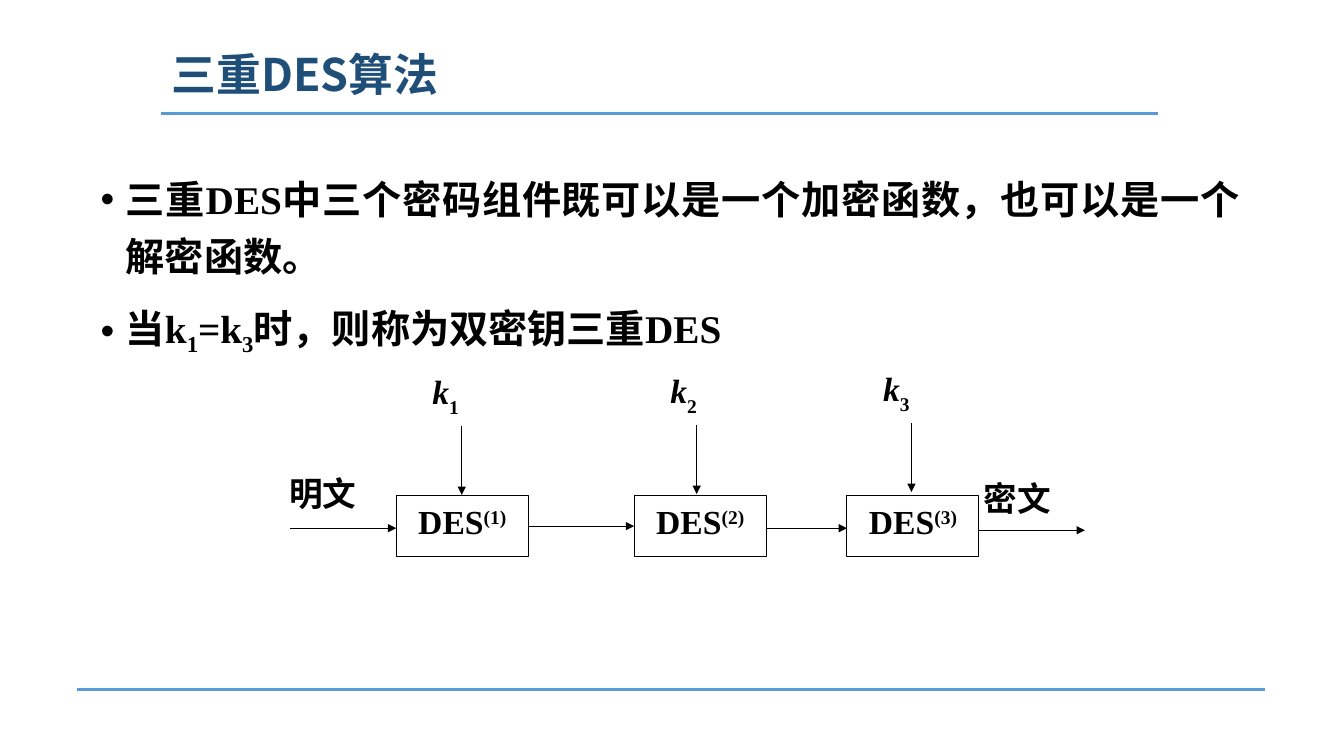
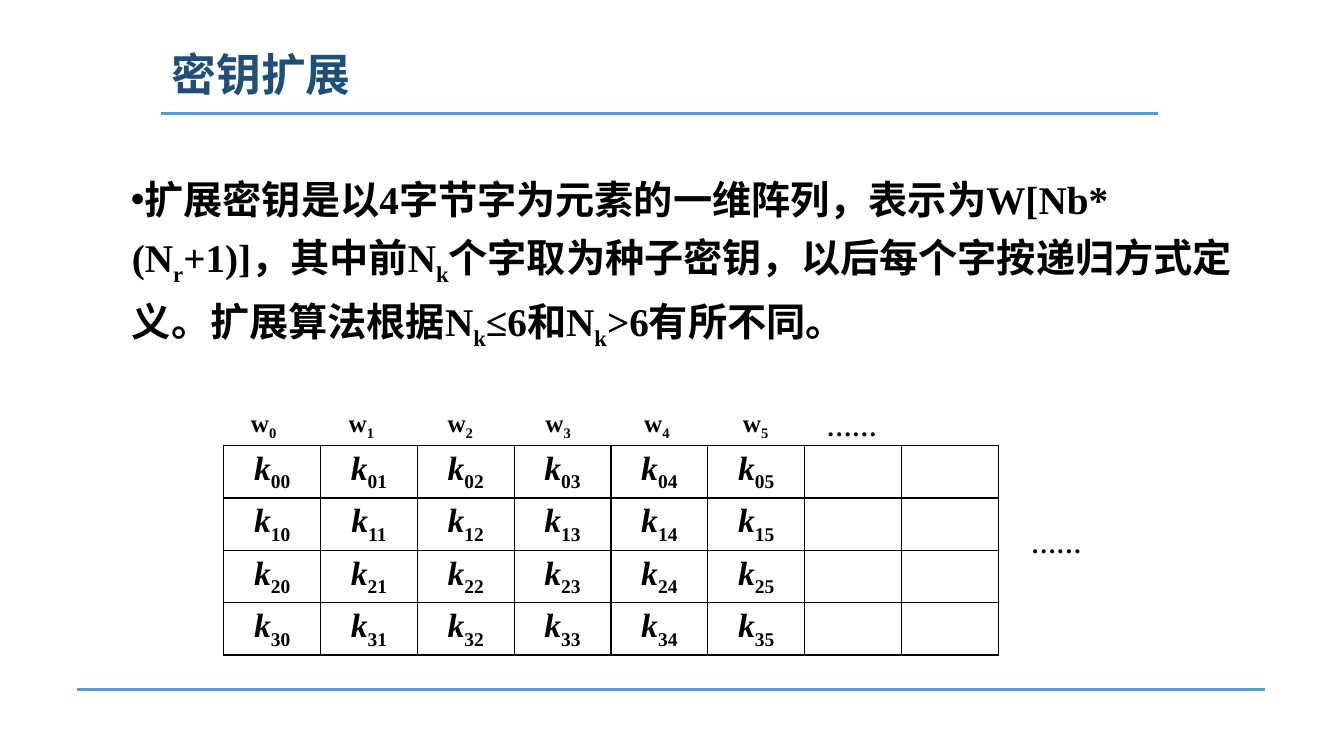
from dataclasses import dataclass

from lxml.etree import SubElement
from pptx import Presentation
from pptx.dml.color import RGBColor
from pptx.enum.shapes import MSO_CONNECTOR as Connector, MSO_SHAPE as Shape
from pptx.enum.text import MSO_ANCHOR as Anchor, PP_ALIGN as Align
from pptx.oxml.ns import qn
from pptx.util import Emu, Pt

EMU_PER_PX = 9144  # 100 px to the inch
TITLE_ONLY = 5


@dataclass(frozen=True)
class Theme:
    ink: RGBColor = RGBColor(0x00, 0x00, 0x00)
    paper: RGBColor = RGBColor(0xFF, 0xFF, 0xFF)
    title: RGBColor = RGBColor(0x1F, 0x4E, 0x79)
    rule: RGBColor = RGBColor(0x5B, 0x9B, 0xD5)
    latin: str = "Times New Roman"
    cjk: str = "Noto Sans CJK SC"
    title_size: int = 32
    body_size: int = 28
    diagram_size: int = 24
    label_size: int = 18
    rule_width: float = 2.25
    arrow_width: float = 0.75
    border_width: int = 1


THEME = Theme()


def px(length):
    return Emu(length * EMU_PER_PX)


def box(*lengths):
    return [px(length) for length in lengths]


def set_font(paragraph, size, color=THEME.ink, latin=THEME.latin, east_asian=THEME.cjk):
    font = paragraph.font
    font.size, font.bold, font.name = Pt(size), True, latin
    font.color.rgb = color
    properties = paragraph._p.pPr.find(qn("a:defRPr"))
    SubElement(properties, qn("a:ea"), typeface=east_asian)


def add_runs(paragraph, text, shift=-25, italic=False):
    """Split text at "|"; every second part is shifted by a percentage, the others may be italic."""
    for index, part in enumerate(text.split("|")):
        run = paragraph.add_run()
        run.text = part
        if index % 2:
            run._r.get_or_add_rPr().set("baseline", str(shift * 1000))
        elif italic:
            run.font.italic = True


def add_line(slide, start, end, color, width, arrow=False):
    line = slide.shapes.add_connector(Connector.STRAIGHT, *box(*start, *end))
    line.line.color.rgb = color
    line.line.width = Pt(width)
    if arrow:
        SubElement(line.line._get_or_add_ln(), qn("a:tailEnd"), type="triangle")
    SubElement(line._element.spPr, qn("a:effectLst"))


def add_arrow(slide, start, end):
    add_line(slide, start, end, THEME.ink, THEME.arrow_width, arrow=True)


def add_label(slide, area, text):
    frame = slide.shapes.add_textbox(*box(*area)).text_frame
    frame.word_wrap = True
    paragraph = frame.paragraphs[0]
    add_runs(paragraph, text)
    set_font(paragraph, THEME.label_size, east_asian=THEME.latin)


def add_titled_slide(presentation, title):
    slide = presentation.slides.add_slide(presentation.slide_layouts[TITLE_ONLY])
    add_line(slide, (160, 113), (1149, 113), THEME.rule, THEME.rule_width)
    add_line(slide, (76, 684), (1255, 684), THEME.rule, THEME.rule_width)
    placeholder = slide.shapes.title
    placeholder.left, placeholder.top, placeholder.width, placeholder.height = box(160, 40, 988, 73)
    frame = placeholder.text_frame
    frame.text = title
    frame.vertical_anchor = Anchor.MIDDLE
    paragraph = frame.paragraphs[0]
    paragraph.alignment = Align.LEFT
    paragraph.line_spacing = 0.9
    set_font(paragraph, THEME.title_size, THEME.title, latin=THEME.cjk)
    return slide


def add_bullets(slide, texts, margin, indent, alignment):
    frame = slide.shapes.add_textbox(*box(90, 160, 1150, 501)).text_frame
    frame.word_wrap = True
    for index, text in enumerate(texts):
        paragraph = frame.add_paragraph() if index else frame.paragraphs[0]
        properties = paragraph._p.get_or_add_pPr()
        properties.set("marL", str(px(margin)))
        properties.set("indent", str(px(indent)))
        SubElement(properties, qn("a:buFont"), typeface="Arial")
        SubElement(properties, qn("a:buChar"), char="•")
        paragraph.alignment = alignment
        paragraph.line_spacing = 1.2
        if index:
            paragraph.space_before = Pt(10)
        add_runs(paragraph, text)
        set_font(paragraph, THEME.body_size)


def add_diagram_box(slide, area, text, outlined=False, **run_style):
    """White rectangle: centred text with an outline, left-aligned text without."""
    shape = slide.shapes.add_shape(Shape.RECTANGLE, *box(*area))
    shape.shadow.inherit = False
    shape.fill.solid()
    shape.fill.fore_color.rgb = THEME.paper
    if outlined:
        shape.line.color.rgb = THEME.ink
        shape.line.width = Pt(THEME.arrow_width)
    else:
        shape.line.fill.background()
    frame = shape.text_frame
    frame.word_wrap = True
    frame.vertical_anchor = Anchor.TOP
    paragraph = frame.paragraphs[0]
    paragraph.alignment = Align.CENTER if outlined else Align.LEFT
    add_runs(paragraph, text, **run_style)
    set_font(paragraph, THEME.diagram_size)


def set_borders(cell):
    properties = cell._tc.get_or_add_tcPr()
    for side in ("lnL", "lnR", "lnT", "lnB"):
        border = SubElement(properties, qn(f"a:{side}"), w=str(Pt(THEME.border_width)))
        fill = SubElement(border, qn("a:solidFill"))
        SubElement(fill, qn("a:srgbClr"), val=str(THEME.ink))


def add_key_table(slide, left, columns, words):
    """One column per word index in columns; indices from words on stay empty."""
    rows, cell_width, cell_height = 4, 96, 52
    area = box(left, 442, len(columns) * cell_width, rows * cell_height)
    table = slide.shapes.add_table(rows, len(columns), *area).table
    table.first_row = table.horz_banding = False
    for row in range(rows):
        for position, word in enumerate(columns):
            cell = table.cell(row, position)
            set_borders(cell)
            cell.fill.background()
            cell.margin_bottom = px(1)
            paragraph = cell.text_frame.paragraphs[0]
            paragraph.alignment = Align.CENTER
            if word < words:
                add_runs(paragraph, f"k|{row}{word}", italic=True)
            set_font(paragraph, THEME.diagram_size)


def add_triple_des_slide(presentation):
    slide = add_titled_slide(presentation, "三重DES算法")
    add_bullets(slide, [
        "三重DES中三个密码组件既可以是一个加密函数，也可以是一个解密函数。",
        "当k|1|=k|3|时，则称为双密钥三重DES",
    ], 25, -25, Align.JUSTIFY)
    add_diagram_box(slide, (277, 464, 131, 68), "明文")
    add_diagram_box(slide, (966, 469, 132, 68), "密文")
    stages = [(393, 458, 363), (629, 691, 362), (840, 904, 360)]
    for number, (left, arrow_x, key_top) in enumerate(stages, start=1):
        add_diagram_box(slide, (left, 492, 131, 60), f"DES|({number})", outlined=True, shift=30)
        add_diagram_box(slide, (left + 26, key_top, 66, 68), f"k|{number}", shift=-30, italic=True)
        add_arrow(slide, (arrow_x, key_top + 60), (arrow_x, key_top + 128))
    for start, end, y in [(288, 393, 524), (524, 629, 522), (760, 840, 524), (971, 1076, 526)]:
        add_arrow(slide, (start, y), (end, y))


def add_key_expansion_slide(presentation):
    slide = add_titled_slide(presentation, "密钥扩展")
    add_bullets(slide, [
        "扩展密钥是以4字节字为元素的一维阵列，表示为W[Nb* (N|r|+1)]，其中前N|k|"
        "个字取为种子密钥，以后每个字按递归方式定义。扩展算法根据N|k|≤6和N|k|>6有所不同。",
    ], 31, -1, Align.LEFT)
    words = 6
    add_key_table(slide, 222, range(4), words)
    add_key_table(slide, 606, range(4, 8), words)
    for word in range(words):
        add_label(slide, (239 + word * 488 // 5, 399, 58, 42), f"w|{word}")
    for left, top in [(810, 403), (1013, 519)]:
        add_label(slide, (left, top, 100, 40), "……")


def main():
    presentation = Presentation()
    presentation.slide_width, presentation.slide_height = box(1333, 750)
    add_triple_des_slide(presentation)
    add_key_expansion_slide(presentation)
    presentation.save("out.pptx")


if __name__ == "__main__":
    main()
